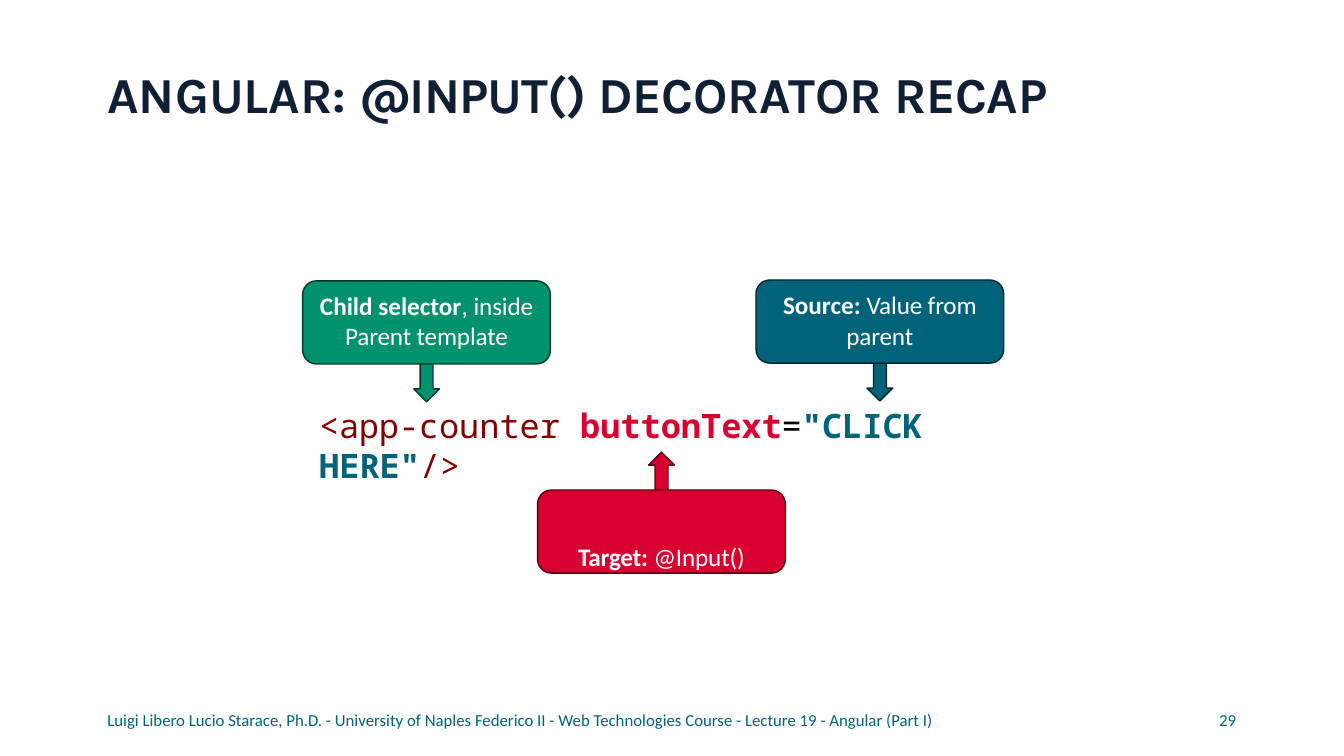
from dataclasses import dataclass

from pptx import Presentation
from pptx.dml.color import RGBColor
from pptx.enum.shapes import MSO_SHAPE
from pptx.enum.text import MSO_ANCHOR, PP_ALIGN
from pptx.util import Pt

BOX = MSO_SHAPE.ROUNDED_RECTANGLE
ARROW_DOWN, ARROW_UP = MSO_SHAPE.DOWN_ARROW, MSO_SHAPE.UP_ARROW
LEFT, CENTER, RIGHT = PP_ALIGN.LEFT, PP_ALIGN.CENTER, PP_ALIGN.RIGHT
TOP, MIDDLE = MSO_ANCHOR.TOP, MSO_ANCHOR.MIDDLE


@dataclass(frozen=True)
class Theme:
    navy: str = "111F35"
    green: str = "00916D"
    green_edge: str = "00392A"
    red: str = "D70031"
    red_edge: str = "5A000E"
    teal: str = "006379"
    teal_edge: str = "00252F"
    maroon: str = "800000"
    black: str = "000000"
    white: str = "FFFFFF"
    heading_font: str = "Karla"
    body_font: str = "Calibri"
    code_font: str = "Noto Sans Mono"
    title_size: float = 36
    code_size: float = 24
    label_size: float = 18
    footer_size: float = 12


THEME = Theme()
BOX_WIDTH, BOX_HEIGHT = 177, 59.4
ARROW_WIDTH, ARROW_HEIGHT = 18.4, 36.7
ARROW_REACH = 27  # how far an arrow stands out of its box


def write(frame, runs, *, font, size, color, align=LEFT, anchor=TOP,
          insets=(0, 0, 0, 0), line_spacing=None):
    """Fill a frame with runs of (text, bold, colour or None[, letter spacing])."""
    frame.word_wrap = True
    frame.vertical_anchor = anchor
    frame.margin_left, frame.margin_top, frame.margin_right, frame.margin_bottom = map(Pt, insets)
    paragraph = frame.paragraphs[0]
    paragraph.alignment = align
    if line_spacing:
        paragraph.line_spacing = Pt(line_spacing)
    for text, bold, run_color, *spacing in runs:
        run = paragraph.add_run()
        run.text = text
        run.font.name = font
        run.font.size = Pt(size)
        run.font.bold = bold
        run.font.color.rgb = RGBColor.from_string(run_color or color)
        if spacing:
            run._r.get_or_add_rPr().set("spc", str(round(spacing[0] * 100)))


def add_text(slide, left, top, width, height, runs, **text_format):
    box = slide.shapes.add_textbox(Pt(left), Pt(top), Pt(width), Pt(height))
    write(box.text_frame, runs, **text_format)


def add_outlined(slide, preset, left, top, width, height, fill, edge):
    shape = slide.shapes.add_shape(preset, Pt(left), Pt(top), Pt(width), Pt(height))
    shape.shadow.inherit = False
    shape.fill.solid()
    shape.fill.fore_color.rgb = RGBColor.from_string(fill)
    shape.line.color.rgb = RGBColor.from_string(edge)
    shape.line.width = Pt(1)
    return shape


def add_callout(slide, left, top, runs, fill, edge, *, arrow=ARROW_DOWN,
                anchor=MIDDLE, text_top=0, text_bottom=2.5):
    """Add a rounded label whose arrow comes out from behind its middle."""
    if arrow == ARROW_UP:
        arrow_top = top - ARROW_REACH
    else:
        arrow_top = top + BOX_HEIGHT + ARROW_REACH - ARROW_HEIGHT
    add_outlined(slide, arrow, left + (BOX_WIDTH - ARROW_WIDTH) / 2, arrow_top,
                 ARROW_WIDTH, ARROW_HEIGHT, fill, edge)
    label = add_outlined(slide, BOX, left, top, BOX_WIDTH, BOX_HEIGHT, fill, edge)
    write(label.text_frame, runs, font=THEME.body_font, size=THEME.label_size,
          color=THEME.white, align=CENTER, anchor=anchor,
          insets=(5, text_top, 5, text_bottom))


def add_footer(slide, left, width, text, align):
    add_text(slide, left, 509, width, 13.7, [(text, False, None)],
             font=THEME.body_font, size=THEME.footer_size, color=THEME.teal,
             align=align, line_spacing=12.4)


def main():
    presentation = Presentation()
    presentation.slide_width, presentation.slide_height = Pt(960), Pt(540)
    slide = presentation.slides.add_slide(presentation.slide_layouts[6])

    add_text(slide, 76.7, 45.2, 747, 45,
             [("ANGULAR: ", True, None), ("@INPUT() ", True, None, -0.7),
              ("DECORATOR ", True, None, -0.2), ("RECAP", True, None, -0.3)],
             font=THEME.heading_font, size=THEME.title_size, color=THEME.navy)

    add_callout(slide, 216.2, 200.6,
                [("Child selector", True, None), (", ", False, None),
                 ("inside Parent template", False, None, -0.1)],
                THEME.green, THEME.green_edge)
    add_callout(slide, 540, 200,
                [("Source: ", True, None), ("Value from parent", False, None, -0.1)],
                THEME.teal, THEME.teal_edge)
    add_callout(slide, 384, 350,
                [("Target: ", True, None, -0.2), ("@Input()", False, None, -0.1)],
                THEME.red, THEME.red_edge, arrow=ARROW_UP, anchor=TOP,
                text_top=34, text_bottom=0)

    add_text(slide, 228, 287.3, 505, 60,
             [("<app-", False, None, -0.2), ("counter ", False, None),
              ("buttonText", True, THEME.red), ("=", False, THEME.black),
              ("\"CLICK HERE\"", True, THEME.teal), ("/>", False, None)],
             font=THEME.code_font, size=THEME.code_size, color=THEME.maroon,
             insets=(0, 1.7, 0, 0))

    add_footer(slide, 76.7, 620,
               "Luigi Libero Lucio Starace, Ph.D. - University of Naples Federico II - "
               "Web Technologies Course - Lecture 19 - Angular (Part I)", LEFT)
    add_footer(slide, 853, 30, "29", RIGHT)
    presentation.save("out.pptx")


if __name__ == "__main__":
    main()
